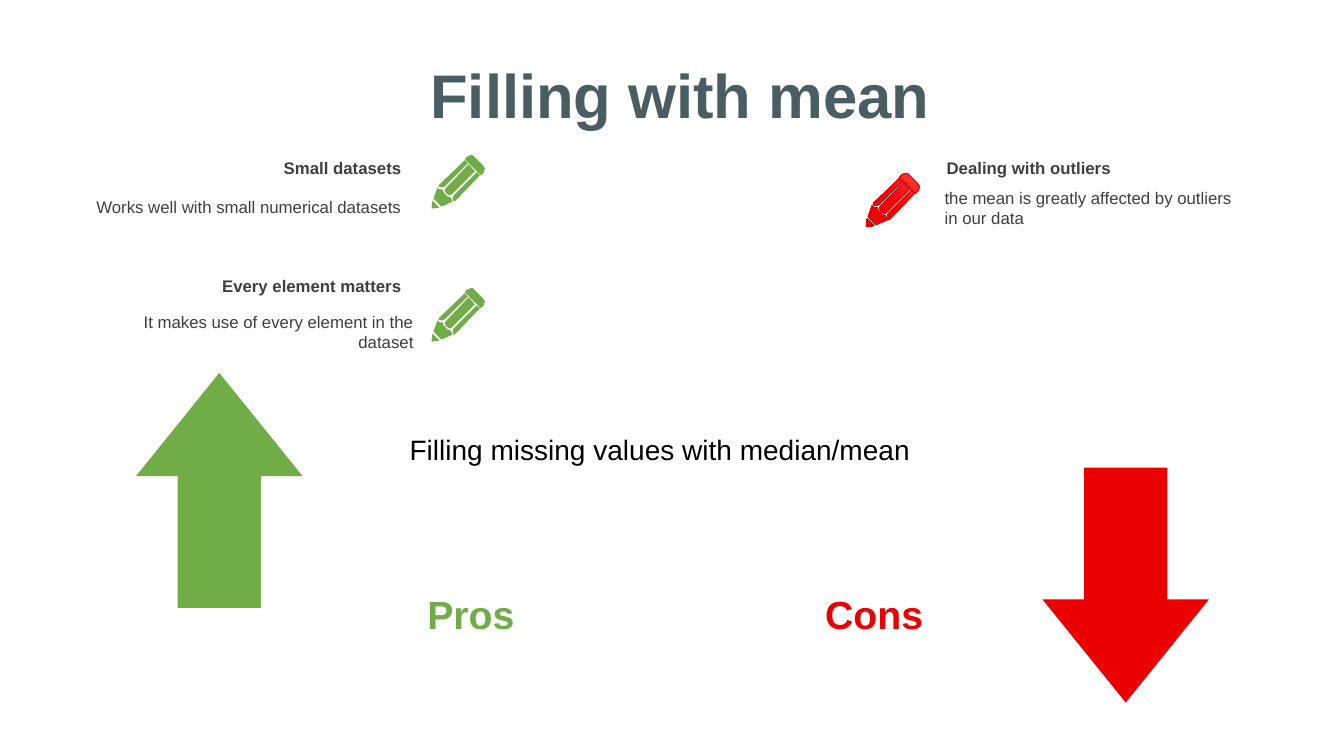
from copy import deepcopy
from dataclasses import dataclass

from pptx import Presentation
from pptx.dml.color import RGBColor
from pptx.enum.shapes import MSO_SHAPE
from pptx.enum.text import MSO_ANCHOR, PP_ALIGN
from pptx.util import Pt

PX = 9144
UP_ARROW = MSO_SHAPE.UP_ARROW
TOP, MIDDLE = MSO_ANCHOR.TOP, MSO_ANCHOR.MIDDLE
LEFT, CENTER, RIGHT = PP_ALIGN.LEFT, PP_ALIGN.CENTER, PP_ALIGN.RIGHT

PENCIL_PARTS = [
    [(1, 45), (8, 52), (0, 53)],
    [(6, 32), (8, 34), (11, 34), (12, 37), (14, 39), (16, 41), (19, 42),
     (20, 44), (21, 46), (10, 51), (2, 43)],
    [(45, 17), (48, 20), (23, 46), (22, 46), (21, 43), (22, 40)],
    [(37, 9), (43, 16), (20, 39), (18, 40), (15, 38), (13, 35), (14, 33)],
    [(33, 5), (36, 8), (13, 31), (10, 32), (7, 31), (7, 30)],
    [(39, 0), (41, 0), (43, 2), (51, 10), (53, 13), (52, 17), (49, 20),
     (33, 4), (36, 1)],
]


@dataclass
class Theme:
    font: str = "Arial"
    pro: str = "70AD47"
    con: str = "EA0000"
    title: str = "4A5D62"
    body: str = "3F3F3F"
    caption: str = "000000"
    glow: tuple = ("F24747", "F50000", "E20000")
    title_size: int = 44
    label_size: int = 28
    caption_size: int = 20
    body_size: int = 12


class SlideBuilder:
    """Draws styled elements on one slide, with lengths in px."""

    def __init__(self, slide, theme):
        self.shapes = slide.shapes
        self.theme = theme

    def text(self, words, left, top, width, height, size, color,
             align=CENTER, bold=False, anchor=TOP):
        box = self.shapes.add_textbox(left * PX, top * PX, width * PX, height * PX)
        frame = box.text_frame
        frame.word_wrap = True
        frame.vertical_anchor = anchor
        frame.text = words
        para = frame.paragraphs[0]
        para.alignment = align
        font = para.runs[0].font
        font.name = self.theme.font
        font.size = Pt(size)
        font.bold = bold
        font.color.rgb = RGBColor.from_string(color)

    def note(self, words, left, top, width, height, align, bold=False):
        self.text(words, left, top, width, height, self.theme.body_size,
                  self.theme.body, align, bold)

    def paint(self, shape, color):
        shape.shadow.inherit = False
        shape.fill.solid()
        shape.fill.fore_color.rgb = RGBColor.from_string(color)
        shape.line.fill.background()

    def arrow(self, left, top, color, rotation=0):
        shape = self.shapes.add_shape(UP_ARROW, left * PX, top * PX, 165 * PX, 233 * PX)
        shape.adjustments[0] = 0.5
        shape.adjustments[1] = 0.62
        shape.rotation = rotation
        self.paint(shape, color)

    def pencil(self, left, top, color):
        builder = self.shapes.build_freeform(*PENCIL_PARTS[0][0], scale=PX)
        for part in PENCIL_PARTS:
            builder.move_to(*part[0])
            builder.add_line_segments(part[1:], close=True)
        shape = builder.convert_to_shape(left * PX, top * PX)
        self.paint(shape, color)
        return shape

    def glowing_pencil(self, left, top, color):
        shape = self.pencil(left, top, color)
        shape.line.color.rgb = RGBColor.from_string(color)
        shape.line.width = Pt(0.75)
        fill = shape.fill
        fill.gradient()
        fill.gradient_angle = 225
        stops = shape.element.spPr.gradFill.gsLst
        stops.insert(1, deepcopy(stops[0]))
        for index, stop in enumerate(fill.gradient_stops):
            stop.position = index / 2
            stop.color.rgb = RGBColor.from_string(self.theme.glow[index])


def main():
    deck = Presentation()
    deck.slide_width, deck.slide_height = 1333 * PX, 750 * PX
    page = deck.slides.add_slide(deck.slide_layouts[6])
    theme = Theme()
    draw = SlideBuilder(page, theme)

    draw.text("Filling with mean", 285, 51, 780, 84, theme.title_size,
              theme.title, bold=True, anchor=MIDDLE)

    draw.note("Small datasets", 85, 152, 323, 30, RIGHT, bold=True)
    draw.note("Works well with small numerical datasets", 85, 190, 323, 30, RIGHT)
    draw.note("Every element matters", 85, 269, 323, 30, RIGHT, bold=True)
    draw.note("It makes use of every element in the dataset", 97, 304, 323, 30, RIGHT)
    draw.note("Dealing with outliers", 929, 152, 321, 30, LEFT, bold=True)
    draw.note("the mean is greatly affected by outliers in our data",
              927, 181, 321, 71, LEFT)

    for top in (154, 286):
        draw.pencil(428, top, theme.pro)
    draw.glowing_pencil(859, 172, theme.con)

    draw.arrow(135, 370, theme.pro)
    draw.arrow(1034, 464, theme.con, rotation=180)

    draw.text("Filling missing values with median/mean", 380, 424, 549, 44,
              theme.caption_size, theme.caption)
    for label, left, color in (("Pros", 403, theme.pro), ("Cons", 803, theme.con)):
        draw.text(label, left, 581, 128, 57, theme.label_size, color, bold=True)

    deck.save("out.pptx")


if __name__ == "__main__":
    main()
